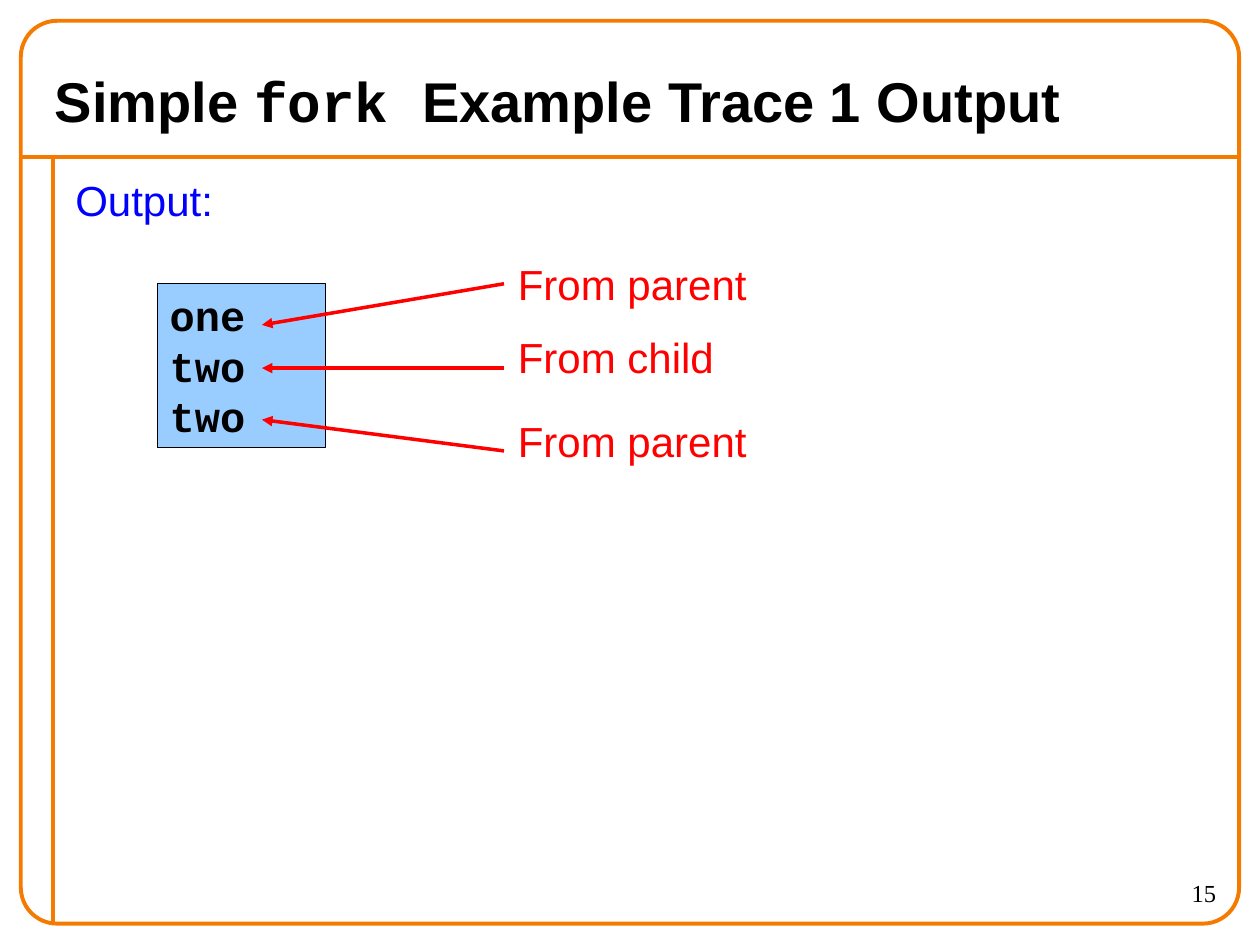
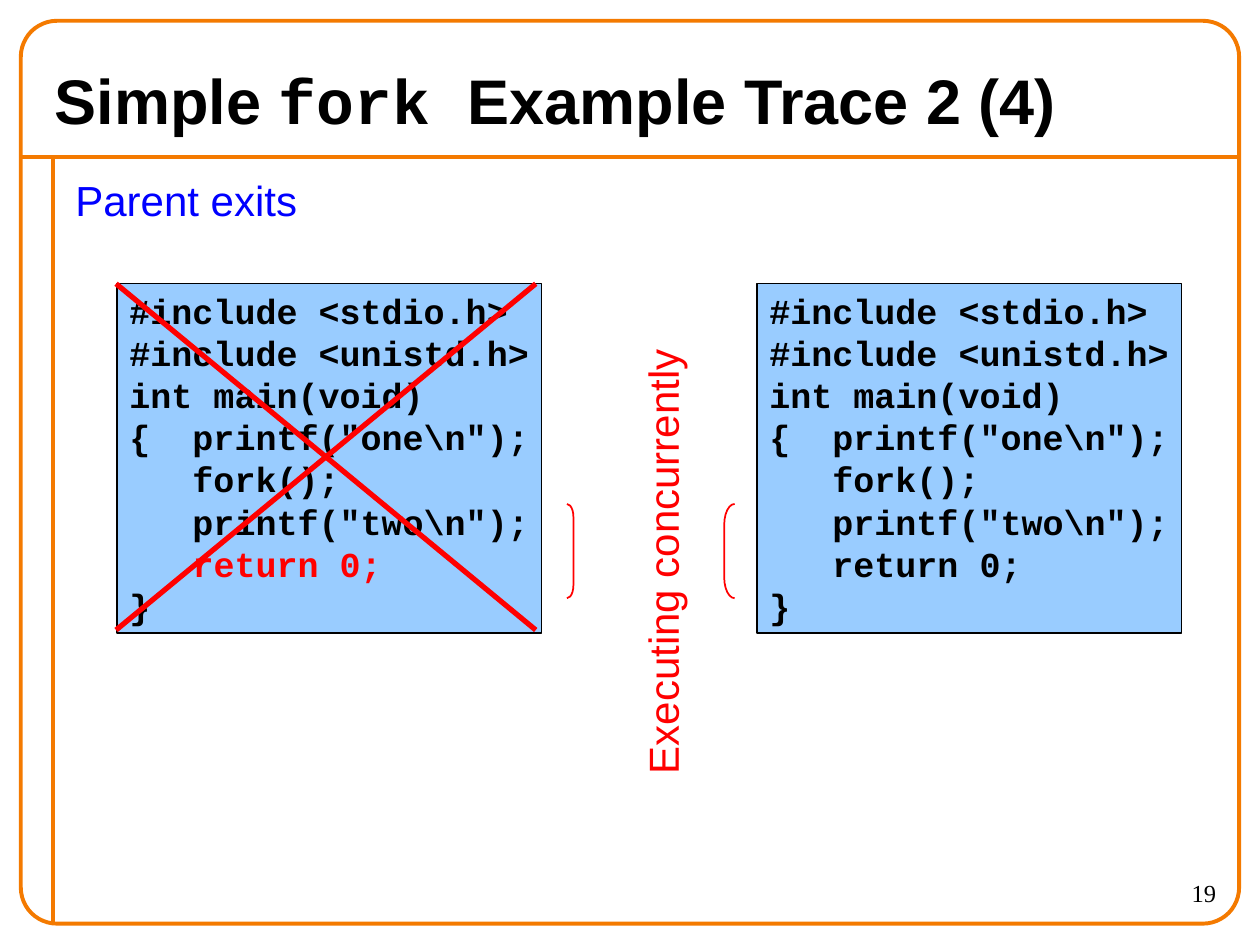
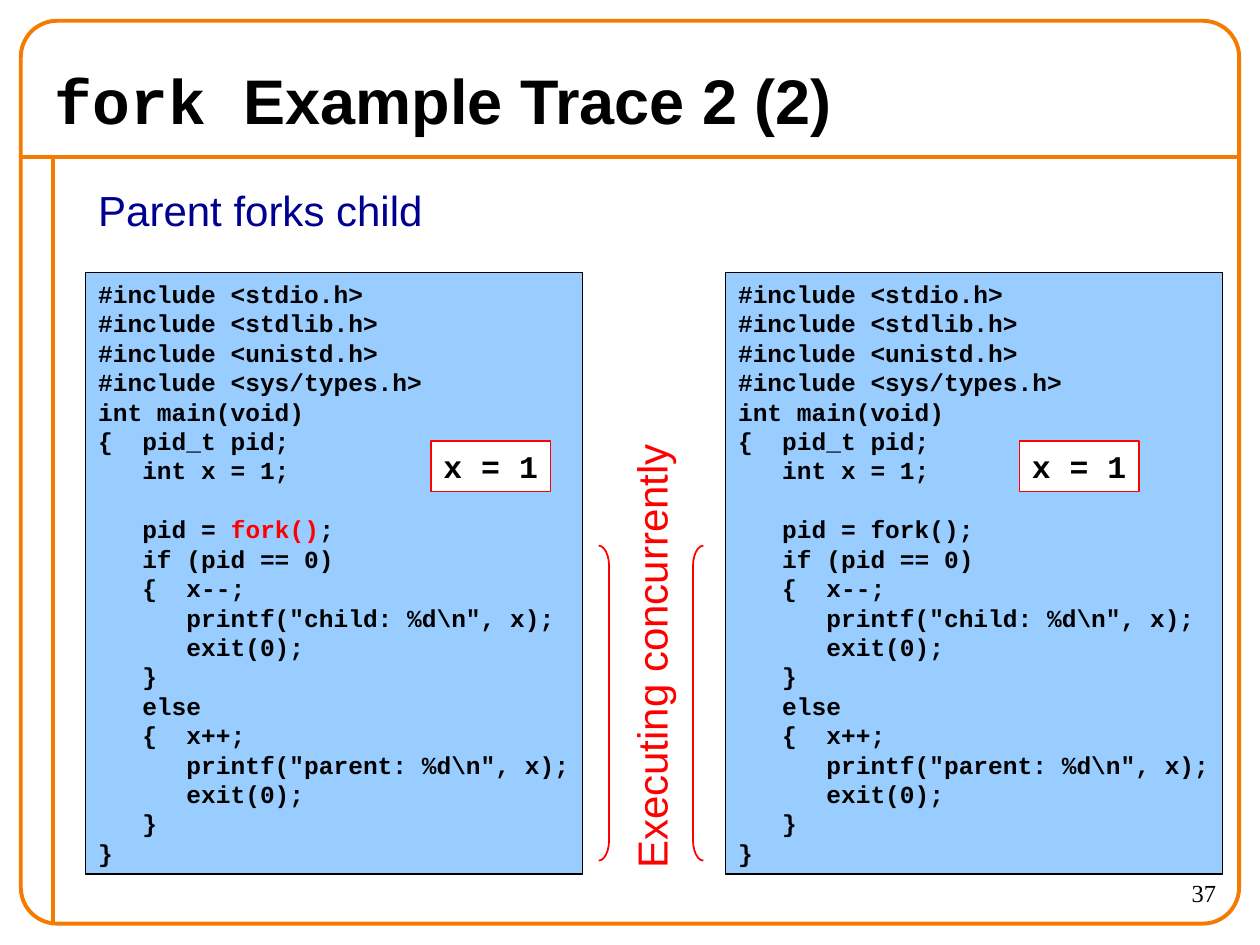
"""Build three slides that trace the output and execution of fork examples."""
from lxml import etree
from pptx import Presentation
from pptx.dml.color import RGBColor
from pptx.enum.shapes import MSO_CONNECTOR, MSO_SHAPE
from pptx.enum.text import MSO_ANCHOR, MSO_AUTO_SIZE, PP_ALIGN
from pptx.oxml.ns import qn
from pptx.util import Cm, Pt

STRAIGHT = MSO_CONNECTOR.STRAIGHT
RECT = MSO_SHAPE.RECTANGLE
ROUND_RECT = MSO_SHAPE.ROUNDED_RECTANGLE
LEFT_BRACKET = MSO_SHAPE.LEFT_BRACKET
RIGHT_BRACKET = MSO_SHAPE.RIGHT_BRACKET
TOP = MSO_ANCHOR.TOP
MIDDLE = MSO_ANCHOR.MIDDLE
NO_FIT = MSO_AUTO_SIZE.NONE
LEFT = PP_ALIGN.LEFT
RIGHT = PP_ALIGN.RIGHT

ORANGE = RGBColor(0xF4, 0x7A, 0x00)
BLACK = RGBColor(0x00, 0x00, 0x00)
WHITE = RGBColor(0xFF, 0xFF, 0xFF)
RED = RGBColor(0xFF, 0x00, 0x00)
BLUE = RGBColor(0x00, 0x00, 0xFF)
NAVY = RGBColor(0x00, 0x00, 0x90)
LIGHT_BLUE = RGBColor(0x99, 0xCC, 0xFF)
SANS = "Arial"
MONO = "Courier New"
SERIF = "Times New Roman"
COLUMN_STEP = 12.9

SHORT_CODE = r"""#include <stdio.h>
#include <unistd.h>
int main(void)
{  printf("one\n");
   fork();
   printf("two\n");
   return 0;
}"""

LONG_CODE = r"""#include <stdio.h>
#include <stdlib.h>
#include <unistd.h>
#include <sys/types.h>
int main(void)
{  pid_t pid;
   int x = 1;

   pid = fork();
   if (pid == 0)
   {  x--;
      printf("child: %d\n", x);
      exit(0);
   }
   else
   {  x++;
      printf("parent: %d\n", x);
      exit(0);
   }
}"""


def write(tf, text, size=24, font=SANS, color=BLACK, bold=False, align=LEFT,
          anchor=TOP, wrap=True, accent=None, accent_font=None, accent_color=None):
    tf.auto_size = NO_FIT
    tf.word_wrap = wrap
    tf.vertical_anchor = anchor
    for i, line in enumerate(text.split("\n")):
        p = tf.paragraphs[0] if i == 0 else tf.add_paragraph()
        p.alignment = align
        if not line:
            end = etree.SubElement(p._p, qn("a:endParaRPr"), sz=str(size * 100))
            etree.SubElement(end, qn("a:latin"), typeface=font)
        for part in line.partition(accent) if accent else [line]:
            if part:
                r = p.add_run()
                r.text = part
                r.font.size = Pt(size)
                r.font.bold = bold
                r.font.name = accent_font if accent_font and part == accent else font
                r.font.color.rgb = accent_color if accent_color and part == accent else color


def add_line(s, x1, y1, x2, y2, color=RED, width=2, arrow=False):
    line = s.shapes.add_connector(STRAIGHT, Cm(x1), Cm(y1), Cm(x2), Cm(y2))
    line.line.color.rgb = color
    line.line.width = Pt(width)
    if arrow:
        etree.SubElement(line.line._get_or_add_ln(), qn("a:tailEnd"), type="triangle")
    etree.SubElement(line._element.spPr, qn("a:effectLst"))
    return line


prs = Presentation()
prs.slide_width = Cm(25.4)
prs.slide_height = Cm(19.05)
layout = prs.slide_layouts[5]

for title, size, number in [
    ("Simple fork Example Trace 1 Output", 32, "15"),
    ("Simple fork Example Trace 2 (4)", 36, "19"),
    ("fork Example Trace 2 (2)", 36, "37"),
]:
    s = prs.slides.add_slide(layout)
    sp = s.shapes.title
    sp.left, sp.top, sp.width, sp.height = Cm(0.85), Cm(1.06), Cm(23.7), Cm(1.9)
    write(sp.text_frame, title, size=size, bold=True, anchor=MIDDLE,
          accent="fork ", accent_font=MONO)
    sp = s.shapes.add_textbox(Cm(22.23), Cm(17.57), Cm(2.54), Cm(1.06))
    write(sp.text_frame, number, size=14, font=SERIF, align=RIGHT)

output, exits, forks = prs.slides

frame = output.shapes.add_shape(ROUND_RECT, Cm(0.42), Cm(0.42), Cm(24.56), Cm(18.2))
frame.adjustments[0] = 0.04
frame.shadow.inherit = False
frame.fill.background()
frame.line.color.rgb = ORANGE
frame.line.width = Pt(2.25)
rule = add_line(output, 0.42, 3.17, 24.98, 3.17, color=ORANGE, width=2.25)
margin = add_line(output, 1.06, 3.17, 1.06, 18.63, color=ORANGE, width=2.25)
for sp in (rule, margin, frame):
    layout.shapes.element.append(sp.element)

boxes = [(output, "one\ntwo\ntwo", 24, 3.17, 5.72, 3.39, 3.3, LIGHT_BLUE, BLACK, None)]
for i in range(2):
    step = i * COLUMN_STEP
    boxes += [
        (exits, SHORT_CODE, 20, 2.36 + step, 5.72, 8.56, 7.04, LIGHT_BLUE, BLACK,
         None if i else "return 0;"),
        (forks, LONG_CODE, 14, 1.73 + step, 5.5, 10.01, 12.12, LIGHT_BLUE, BLACK,
         None if i else "fork()"),
        (forks, "x = 1", 18, 8.69 + i * 11.86, 8.89, 2.41, 1.02, WHITE, RED, None),
    ]
for s, text, size, x, y, w, h, fill, edge, accent in boxes:
    sp = s.shapes.add_shape(RECT, Cm(x), Cm(y), Cm(w), Cm(h))
    sp.shadow.inherit = False
    sp.fill.solid()
    sp.fill.fore_color.rgb = fill
    sp.line.color.rgb = edge
    sp.line.width = Pt(0.75)
    write(sp.text_frame, text, size=size, font=MONO, bold=True, wrap=s is output,
          accent=accent, accent_color=RED)

for s, kind, x, y, w, h in [
    (exits, RIGHT_BRACKET, 11.43, 10.16, 0.13, 1.9),
    (exits, LEFT_BRACKET, 14.6, 10.16, 0.21, 1.9),
    (forks, RIGHT_BRACKET, 12.07, 11, 0.21, 6.35),
    (forks, LEFT_BRACKET, 13.97, 11, 0.21, 6.35),
]:
    sp = s.shapes.add_shape(kind, Cm(x), Cm(y), Cm(w), Cm(h))
    sp.adjustments[0] = 2
    sp.shadow.inherit = False
    sp.fill.background()
    sp.line.color.rgb = RED
    sp.line.width = Pt(1)

for s, text, color, x, y, w, h, turn, wrap in [
    (output, "Output:", BLUE, 1.27, 3.39, 23.5, 15.24, 0, True),
    (exits, "Parent exits", BLUE, 1.27, 3.39, 23.5, 15.24, 0, True),
    (forks, "Parent forks child", NAVY, 1.73, 3.6, 7.04, 1.27, 0, False),
    (output, "From parent", RED, 10.19, 5.08, 5.11, 1.27, 0, False),
    (output, "From child", RED, 10.19, 6.55, 4.45, 1.27, 0, False),
    (output, "From parent", RED, 10.19, 8.26, 5.11, 1.27, 0, False),
    (exits, "Executing concurrently", RED, 8.59, 10.46, 9.52, 1.27, 270, True),
    (forks, "Executing concurrently", RED, 8.36, 12.37, 9.52, 1.27, 270, True),
]:
    sp = s.shapes.add_textbox(Cm(x), Cm(y), Cm(w), Cm(h))
    sp.rotation = turn
    write(sp.text_frame, text, color=color, wrap=wrap)

for y1, y2 in [(5.72, 6.55), (7.42, 7.42), (9.09, 8.46)]:
    add_line(output, 10.16, y1, 5.28, y2, arrow=True)

for y1, y2 in [(5.72, 12.7), (12.7, 5.72)]:
    add_line(exits, 2.34, y1, 10.8, y2, width=3)

prs.save("out.pptx")
